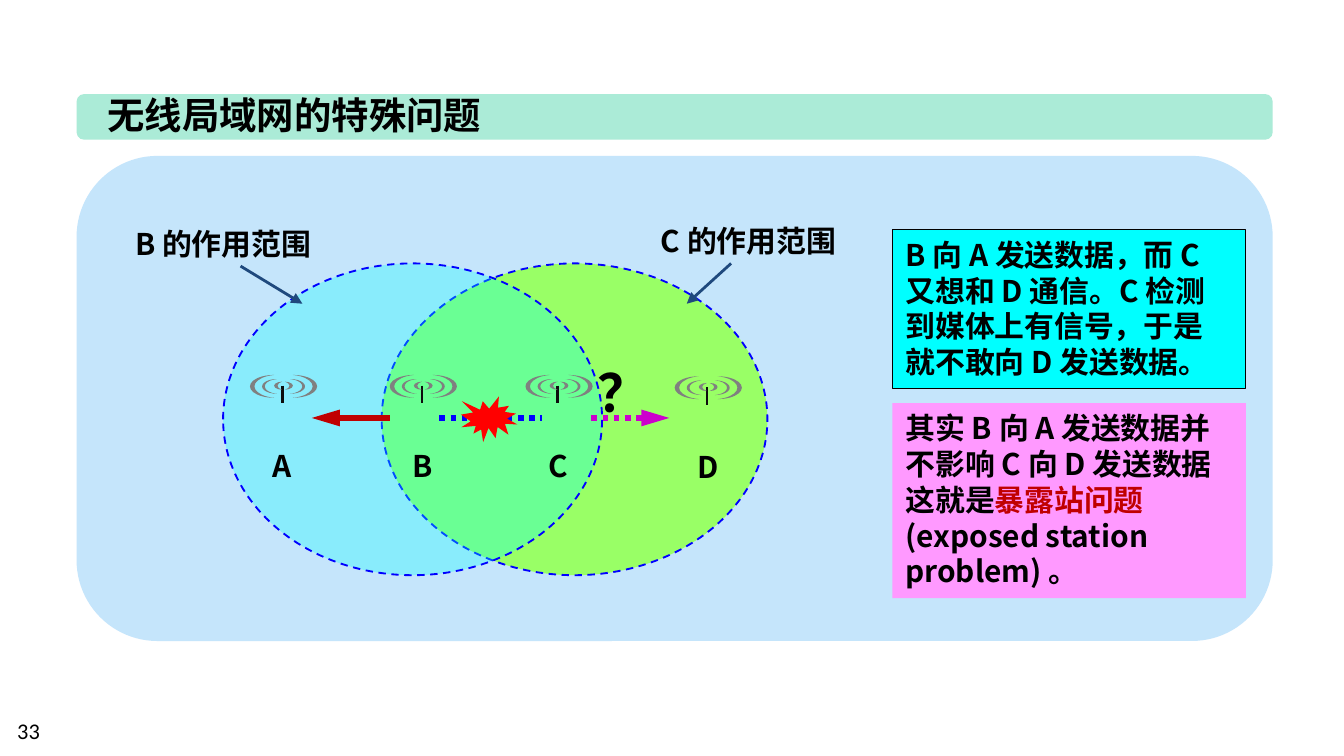
from lxml import etree
from pptx import Presentation
from pptx.dml.color import RGBColor
from pptx.enum.dml import MSO_LINE
from pptx.enum.shapes import MSO_CONNECTOR, MSO_SHAPE as SHAPE
from pptx.enum.text import MSO_ANCHOR, MSO_AUTO_SIZE, PP_ALIGN
from pptx.oxml.ns import qn
from pptx.util import Inches, Pt

CJK = "Noto Sans CJK SC"
COLORS = {
    "black": "000000", "panel": "C5E5FB", "title": "ABEBD7",
    "cyan": "00FFFF", "pink": "FF99FF", "lime": "99FF66",
    "blue": "0000FF", "navy": "1F497D", "crimson": "C00000",
    "magenta": "CC00CC", "red": "FF0000", "gray": "808080", "mast": "0D0D0D",
}


def rgb(name):
    return RGBColor.from_string(COLORS[name])


def add_box(shapes, kind, box, fill, line=None, line_width=1, dash=None, alpha=None, adj=None):
    """Add a filled preset shape; alpha is the opacity in percent."""
    shape = shapes.add_shape(kind, *map(Inches, box))
    shape.shadow.inherit = False
    shape.fill.solid()
    shape.fill.fore_color.rgb = rgb(fill)
    if alpha is not None:
        color = shape._element.spPr.find(qn("a:solidFill"))[0]
        etree.SubElement(color, qn("a:alpha")).set("val", str(alpha * 1000))
    if line:
        shape.line.color.rgb = rgb(line)
        shape.line.width = Pt(line_width)
        shape.line.dash_style = dash
    else:
        shape.line.fill.background()
    if adj is not None:
        shape.adjustments[0] = adj
    return shape


def add_line(shapes, start, end, color, width, dash=None, head=None):
    """Add a straight line; head is the length of its arrowhead, if any."""
    line = shapes.add_connector(MSO_CONNECTOR.STRAIGHT, *map(Inches, (*start, *end)))
    line.line.color.rgb = rgb(color)
    line.line.width = Pt(width)
    if dash:
        line.line.dash_style = dash
    if head:
        arrow = etree.SubElement(line.line._get_or_add_ln(), qn("a:tailEnd"))
        arrow.set("type", "triangle")
        arrow.set("len", head)
    etree.SubElement(line._element.spPr, qn("a:effectLst"))


def write(shape, runs, size=16, wrap=True, align=PP_ALIGN.LEFT, font=CJK, bold=True, grow=True):
    """Fill a shape with one paragraph of (text, colour) runs."""
    frame = shape.text_frame
    frame.word_wrap = wrap
    frame.vertical_anchor = MSO_ANCHOR.TOP
    if grow:
        frame.auto_size = MSO_AUTO_SIZE.SHAPE_TO_FIT_TEXT
    paragraph = frame.paragraphs[0]
    paragraph.alignment = align
    paragraph.font.size = Pt(size)
    paragraph.font.bold = bold
    paragraph.font.name = font
    for text, color in runs:
        run = paragraph.add_run()
        run.text = text
        run.font.color.rgb = rgb(color)
        etree.SubElement(run.font._element, qn("a:ea")).set("typeface", font)


def add_text(shapes, box, text, **style):
    write(shapes.add_textbox(*map(Inches, box)), [(text, "black")], **style)


def add_title(shapes, left, top, width, text):
    add_box(shapes, SHAPE.ROUNDED_RECTANGLE, (left, top, width, 0.34), "title", adj=0.167)
    add_text(shapes, (left + 0.13, top - 0.06, 3.09, 0.44), text, size=20, wrap=False)


def add_coverage(shapes, box, fill, alpha, label, label_at, pointer):
    """Draw a station's range; label and pointer are offsets from the box corner."""
    left, top, _, _ = box
    add_box(shapes, SHAPE.OVAL, box, fill, "blue", dash=MSO_LINE.DASH, alpha=alpha)
    add_text(shapes, (left + label_at[0], top + label_at[1], 1.54, 0.37), label,
             align=PP_ALIGN.CENTER)
    start, end = [(left + x, top + y) for x, y in pointer]
    add_line(shapes, start, end, "navy", 1.5, head="med")


def add_station(shapes, left, top, name):
    """Draw an antenna with mirrored waves, and its name below."""
    span = 0.5
    antenna = shapes.add_group_shape().shapes
    center = left + span / 2 - 0.01
    add_line(antenna, (center, top + 0.08), (center, top + 0.21), "mast", 1.5)
    for inset, drop, width, height, adj in (
        (0, 0, 0.18, 0.17, 0.184), (0.09, 0.03, 0.11, 0.11, 0.183), (0.18, 0.05, 0.06, 0.06, 0.419),
    ):
        for x, flipped in ((inset, False), (span - inset - width, True)):
            wave = add_box(antenna, SHAPE.MOON, (left + x, top + drop, width, height),
                           "gray", adj=adj)
            if flipped:
                wave._element.spPr.xfrm.set("flipH", "1")
    add_text(shapes, (left + 0.07, top + 0.49, 0.37, 0.37), name, wrap=False)


def add_notes(shapes, left, top, width):
    problem = add_box(shapes, SHAPE.RECTANGLE, (left, top, width, 1.18), "cyan", "black", 0.75)
    write(problem, [("B 向 A 发送数据，而 C 又想和 D 通信。C 检测到媒体上有信号，"
                     "于是就不敢向 D 发送数据。", "black")])
    conclusion = add_box(shapes, SHAPE.RECTANGLE, (left, top + 1.29, width, 1.45), "pink")
    write(conclusion, [
        ("其实 B 向 A 发送数据并不影响 C 向 D 发送数据这就是", "black"),
        ("暴露站问题 ", "crimson"),
        ("(exposed station problem) 。", "black"),
    ])


def add_signals(shapes, left, y):
    """Draw the three signals along one level, with the collision on the middle one."""
    add_text(shapes, (left + 2.03, y - 0.48, 0.59, 0.57), "？", size=28, wrap=False)
    add_line(shapes, (left + 2.08, y), (left + 2.66, y), "magenta", 3, MSO_LINE.ROUND_DOT, "lg")
    add_line(shapes, (left + 0.58, y), (left, y), "crimson", 3, head="lg")
    add_line(shapes, (left + 0.95, y), (left + 1.71, y), "blue", 3, MSO_LINE.ROUND_DOT)
    add_box(shapes, SHAPE.EXPLOSION1, (left + 1.11, y - 0.16, 0.42, 0.34), "red")


def main():
    prs = Presentation()
    prs.slide_width = Inches(10)
    prs.slide_height = prs.slide_width * 9 // 16
    shapes = prs.slides.add_slide(prs.slide_layouts[6]).shapes

    add_box(shapes, SHAPE.ROUNDED_RECTANGLE, (0.57, 1.16, 8.9, 3.61), "panel")
    add_coverage(shapes, (2.84, 1.96, 2.87, 2.32), "lime", None, "C 的作用范围",
                 (1.96, -0.35), ((2.6, 0), (2.27, 0.3)))
    add_title(shapes, 0.57, 0.7, 8.9, "无线局域网的特殊问题")
    add_notes(shapes, 6.64, 1.71, 2.63)
    add_coverage(shapes, (1.66, 1.96, 2.82, 2.32), "cyan", 30, "B 的作用范围",
                 (-0.77, -0.33), ((0.13, 0.02), (0.59, 0.3)))
    for name, left, top in (("A", 1.86, 2.79), ("B", 2.9, 2.79), ("C", 3.91, 2.79), ("D", 5.02, 2.8)):
        add_station(shapes, left, top, name)
    add_signals(shapes, 2.32, 3.11)
    add_text(shapes, (0.03, 5.29, 2.33, 0.3), "33", size=12, font="Calibri", bold=False, grow=False)

    prs.save("out.pptx")


if __name__ == "__main__":
    main()
